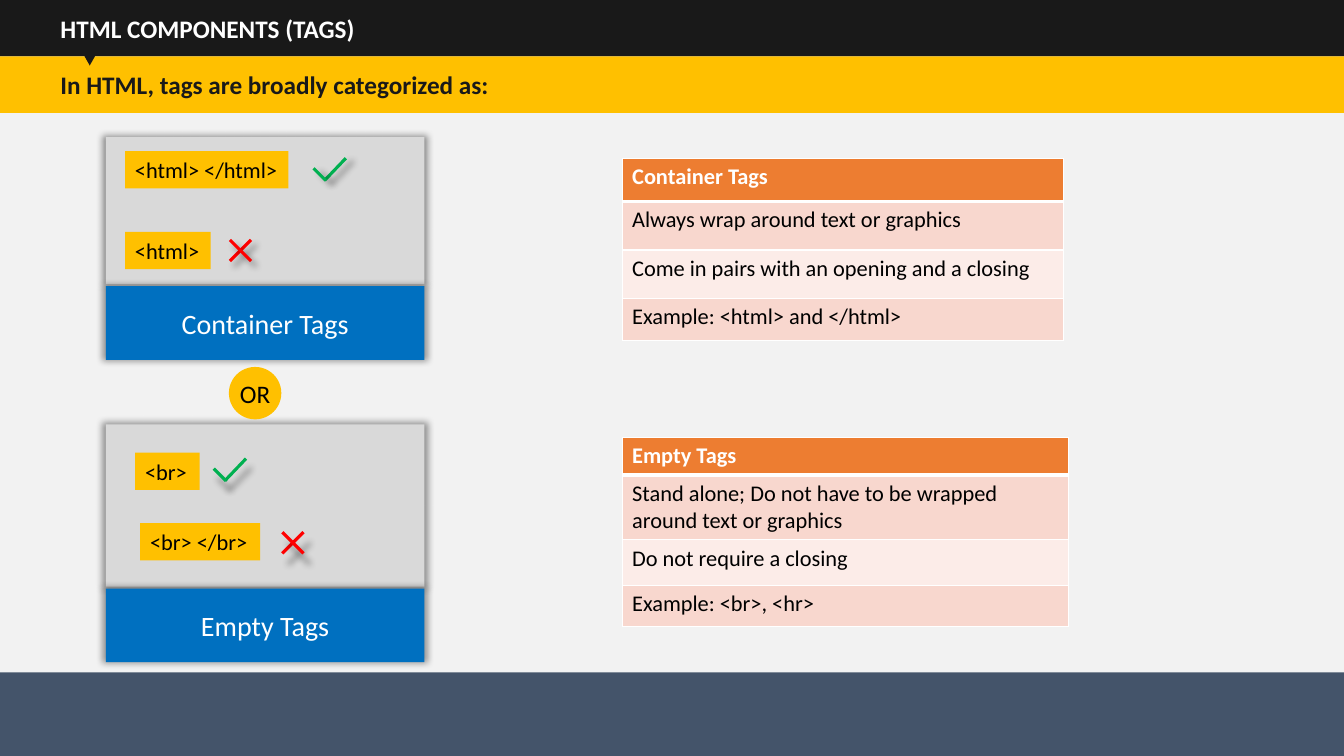
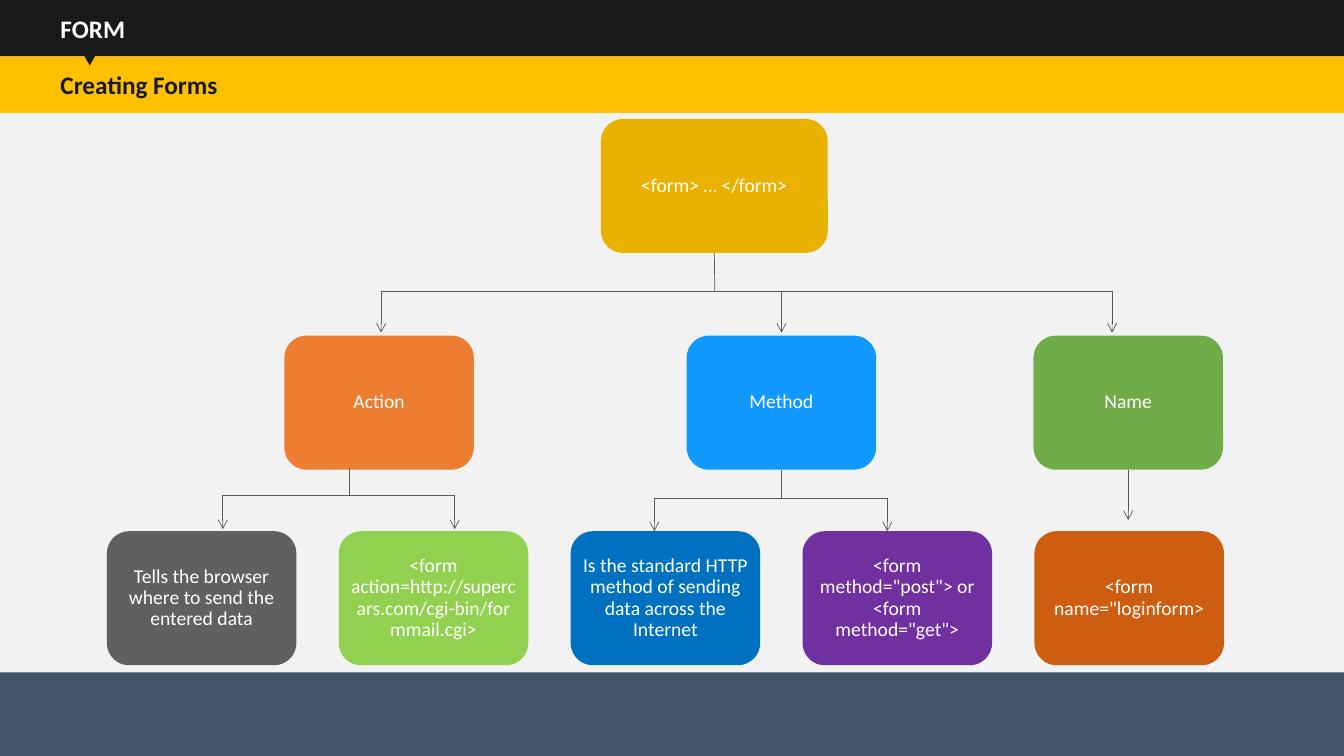
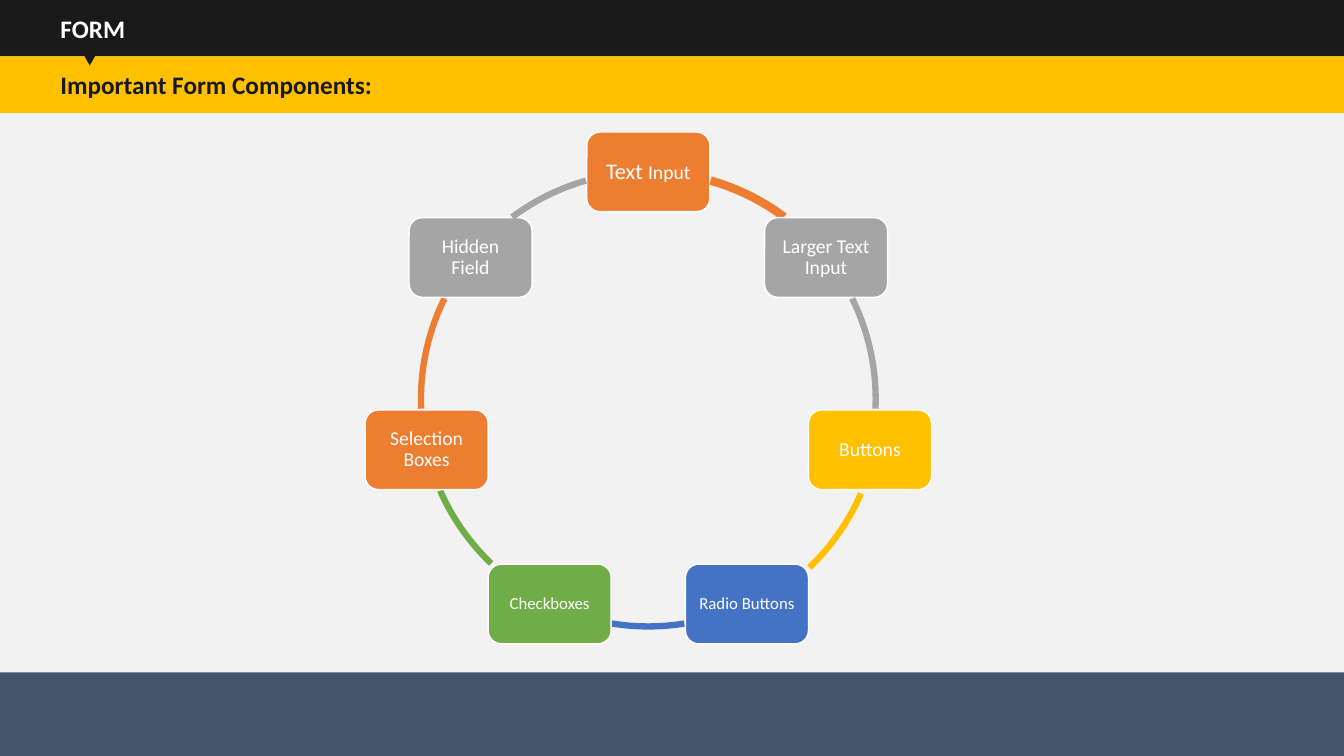
import math

from lxml import etree
from pptx import Presentation
from pptx.dml.color import RGBColor
from pptx.enum import shapes, text
from pptx.oxml import parse_xml
from pptx.oxml.ns import qn
from pptx.util import Inches, Pt

COLORS = {
    "dark": "191919", "amber": "FFC000", "slate": "44546A", "paper": "F2F2F2",
    "white": "FFFFFF", "black": "000000", "panel": "D9D9D9", "blue": "0070C0",
    "tick": "00B050", "cross": "FF0000", "orange": "ED7D31", "band1": "F8D7CE",
    "band2": "FCECE8", "gold": "EAB200", "smoke": "606060", "lime": "92D050",
    "sky": "1199FF", "purple": "7030A0", "leaf": "70AD48", "rust": "CD5D11",
    "wire": "595959", "gray": "A5A5A5", "royal": "4472C4", "green": "70AD47",
}
RGB = {name: RGBColor.from_string(value) for name, value in COLORS.items()}
FONT = "Calibri"
NS = 'xmlns:a="http://schemas.openxmlformats.org/drawingml/2006/main"'
GLOW = (f'<a:effectLst {NS}><a:outerShdw blurRad="63500" sx="102000" sy="102000" '
        'algn="ctr" rotWithShape="0"><a:srgbClr val="000000"><a:alpha val="40000"/>'
        '</a:srgbClr></a:outerShdw></a:effectLst>')
FLAT = f"<a:effectLst {NS}/>"
KIND = shapes.MSO_SHAPE
ALIGN = text.PP_ALIGN


def write(tf, runs, size=14, color="white", bold=False, align=ALIGN.LEFT, spacing=None):
    """Fill the first paragraph; runs is a string or a list of (string, size) pairs."""
    p = tf.paragraphs[0]
    p.alignment = align
    if spacing:
        p.line_spacing = spacing
    for words, points in [(runs, size)] if isinstance(runs, str) else runs:
        r = p.add_run()
        r.text = words
        r.font.name, r.font.size, r.font.bold = FONT, Pt(points), bold
        r.font.color.rgb = RGB[color]


def box(slide, kind, at, fill, words="", margin=0.1, line=None, glow=False, **style):
    sp = slide.shapes.add_shape(kind, *map(Inches, at))
    sp.fill.solid()
    sp.fill.fore_color.rgb = RGB[fill]
    if line:
        sp.line.color.rgb = RGB[line]
        sp.line.width = Pt(1)
    else:
        sp.line.fill.background()
    if glow:
        sp.element.spPr.append(parse_xml(GLOW))
    else:
        sp.shadow.inherit = False
    if words:
        tf = sp.text_frame
        tf.word_wrap = True
        tf.vertical_anchor = text.MSO_ANCHOR.MIDDLE
        tf.margin_left = tf.margin_right = Inches(margin)
        tf.margin_top = tf.margin_bottom = Inches(min(margin, 0.05))
        write(tf, words, **style)
    return sp


prs = Presentation()
prs.slide_width, prs.slide_height = Inches(13.33), Inches(7.5)

# Shared frame: background and footer on the layout, heading bands on each slide
layout = prs.slide_layouts[5]
layout.background.fill.solid()
layout.background.fill.fore_color.rgb = RGB["paper"]
for ph in list(layout.placeholders):
    if ph.placeholder_format.idx:
        ph.element.getparent().remove(ph.element)

HEADINGS = [
    ("HTML COMPONENTS (TAGS)", "In HTML, tags are broadly categorized as:"),
    ("FORM", "Creating Forms"),
    ("FORM", "Important Form Components:"),
]
slides = []
for heading, subheading in HEADINGS:
    s = prs.slides.add_slide(layout)
    title = s.shapes.title
    title.left, title.top, title.width, title.height = map(Inches, (0, 0, 13.33, 0.56))
    title.fill.solid()
    title.fill.fore_color.rgb = RGB["dark"]
    tf = title.text_frame
    tf.auto_size = text.MSO_AUTO_SIZE.NONE
    tf.vertical_anchor = text.MSO_ANCHOR.MIDDLE
    tf.margin_left = Inches(0.6)
    write(tf, heading, size=18, bold=True)
    box(s, KIND.RECTANGLE, (0, 0.56, 13.33, 0.56), "amber", subheading, margin=0.6,
        size=18, color="dark", bold=True)
    box(s, KIND.ISOSCELES_TRIANGLE, (0.8, 0.49, 0.18, 0.16), "dark").rotation = 180
    slides.append(s)
tags, form, parts = slides
footer = box(tags, KIND.RECTANGLE, (0, 6.67, 13.33, 0.83), "slate")
layout.shapes.element.append(footer.element)

# Slide 1: tag cards, marks and tables
for name, top, height, bar_top in [("Container Tags", 1.36, 1.46, 2.84),
                                   ("Empty Tags", 4.21, 1.61, 5.84)]:
    box(tags, KIND.RECTANGLE, (1.05, top, 3.16, height), "panel", glow=True)
    box(tags, KIND.RECTANGLE, (1.05, bar_top, 3.16, 0.73), "blue", name, glow=True,
        size=20, align=ALIGN.CENTER)
box(tags, KIND.OVAL, (2.27, 3.64, 0.52, 0.52), "amber", "OR", margin=0,
    size=18, color="black", align=ALIGN.CENTER)
for label, x, y, w in [("<html> </html>", 1.24, 1.5, 1.62), ("<html>", 1.24, 2.3, 0.85),
                       ("<br>", 1.34, 4.49, 0.64), ("<br> </br>", 1.39, 5.19, 1.19)]:
    sp = box(tags, KIND.RECTANGLE, (x, y, w, 0.37), "amber", label, size=16, color="black")
    sp.text_frame.word_wrap = False

STROKES = {
    "tick": [(0.11, 0.22, 0.32, 0), (0, 0.1, 0.12, 0.22)],
    "cross": [(0, 0.21, 0.21, 0), (0.21, 0.21, 0, 0)],
}
lines = []  # slide, ends, colour, width, effect, arrow, shape joined at its bottom
for mark, x, y in [("tick", 3.11, 1.57), ("cross", 2.28, 2.38),
                   ("tick", 2.12, 4.55), ("cross", 2.8, 5.28)]:
    for x1, y1, x2, y2 in STROKES[mark]:
        lines.append((tags, (x + x1, y + y1, x + x2, y + y2), mark, 2.25, GLOW, False, None))

TABLES = [
    (1.57, 4.38, [0.43, 0.48, 0.48, 0.42],
     ["Container Tags", "Always wrap around text or graphics",
      "Come in pairs with an opening and a closing", "Example: <html> and </html>"]),
    (4.34, 4.43, [0.37, 0.64, 0.45, 0.41],
     ["Empty Tags", "Stand alone; Do not have to be wrapped around text or graphics",
      "Do not require a closing", "Example: <br>, <hr>"]),
]
for top, width, heights, rows in TABLES:
    table = tags.shapes.add_table(len(rows), 1, Inches(6.17), Inches(top),
                                  Inches(width), Inches(sum(heights))).table
    for i, (height, words) in enumerate(zip(heights, rows)):
        table.rows[i].height = Inches(height)
        cell = table.cell(i, 0)
        write(cell.text_frame, words, size=16, bold=i == 0,
              color="black" if i else "white")
        for side in "LRTB":
            thick = (i, side) in [(0, "B"), (1, "T")]
            cell._tc.get_or_add_tcPr().append(parse_xml(
                f'<a:ln{side} {NS} w="{Pt(3 if thick else 1)}"><a:solidFill>'
                f'<a:srgbClr val="{COLORS["white"]}"/></a:solidFill></a:ln{side}>'))
        cell.fill.solid()
        cell.fill.fore_color.rgb = RGB[["orange", "band1", "band2", "band1"][i]]

# Slide 2: form tree
NODES = [
    (5.96, 1.18, 2.25, "gold", "<form> … </form>"),
    (2.82, 3.33, 1.88, "orange", "Action"),
    (6.81, 3.33, 1.88, "sky", "Method"),
    (10.25, 3.33, 1.88, "leaf", "Name"),
]
LEAVES = [
    ("smoke", "Tells the browser where to send the entered data"),
    ("lime", "<form action=http://supercars.com/cgi-bin/formmail.cgi>"),
    ("blue", "Is the standard HTTP method of sending data across the Internet"),
    ("purple", '<form method="post"> or <form method="get">'),
    ("rust", '<form name="loginform>'),
]
NODES += [(1.06 + 2.3 * i, 5.27, 1.88, *leaf) for i, leaf in enumerate(LEAVES)]
nodes = {words: box(form, KIND.ROUNDED_RECTANGLE, (x, y, w, 1.33), fill, words,
                    margin=0.05, align=ALIGN.CENTER, spacing=0.9)
         for x, y, w, fill, words in NODES}

# Each branch: stem x and top, crossbar y, arrow x positions, arrow tip y, joined node
BRANCHES = [
    (7.09, 2.51, 2.89, [3.78, 7.75, 11.03], 3.3, nodes["<form> … </form>"]),
    (3.47, 4.64, 4.91, [2.21, 4.51], 5.25, None),
    (7.75, 4.66, 4.94, [6.49, 8.8], 5.27, nodes["Method"]),
]
wire = ("wire", 0.5, FLAT)
for x, top, bar, drops, tip, node in BRANCHES:
    lines.append((form, (x, top, x, bar), *wire, False, node))
    lines.append((form, (drops[0], bar, drops[-1], bar), *wire, False, None))
    lines += [(form, (drop, bar, drop, tip), *wire, True, None) for drop in drops]
lines.append((form, (11.19, 4.66, 11.19, 5.16), *wire, True, nodes["Name"]))

for s, ends, color, width, effect, arrow, node in lines:
    line = s.shapes.add_connector(shapes.MSO_CONNECTOR.STRAIGHT, *map(Inches, ends))
    line.line.color.rgb = RGB[color]
    line.line.width = Pt(width)
    if arrow:
        etree.SubElement(line.line._get_or_add_ln(), qn("a:tailEnd"), type="arrow")
    line._element.spPr.append(parse_xml(effect))
    if node:
        line.begin_connect(node, 2)

# Slide 3: ring of components, each with the arc that follows it (degrees clockwise)
RING = [
    ([("Text ", 16), ("Input", 14)], 14, "orange", 285.9, 306.7),
    ("Larger Text Input", 14, "gray", 333.7, 2.4),
    ("Buttons", 14, "amber", 23.4, 46.3),
    ("Radio Buttons", 12, "royal", 80.9, 99.3),
    ("Checkboxes", 12, "green", 133.7, 156.3),
    ("Selection Boxes", 14, "orange", 177.6, 206.3),
    ("Hidden Field", 14, "gray", 233.2, 254.1),
]
CX, CY, RADIUS = 6.43, 3.96, 2.255
for i, (words, size, color, start, end) in enumerate(RING):
    turn = 2 * math.pi * i / len(RING)
    x, y = CX + RADIUS * math.sin(turn), CY - RADIUS * math.cos(turn)
    box(parts, KIND.ROUNDED_RECTANGLE, (x - 0.61, y - 0.395, 1.22, 0.79), color, words,
        line="white", size=size, align=ALIGN.CENTER, spacing=0.9)
    shift = 0.04 if words == "Buttons" else 0
    arc = parts.shapes.add_shape(KIND.ARC, Inches(CX - RADIUS + shift),
                                 Inches(CY - RADIUS + shift),
                                 Inches(2 * RADIUS), Inches(2 * RADIUS))
    arc.adjustments[0], arc.adjustments[1] = start * 0.6, end * 0.6
    arc.fill.background()
    arc.line.color.rgb = RGB[color]
    arc.line.width = Pt(4.5 if i else 6)
    arc.shadow.inherit = False

prs.save("out.pptx")
